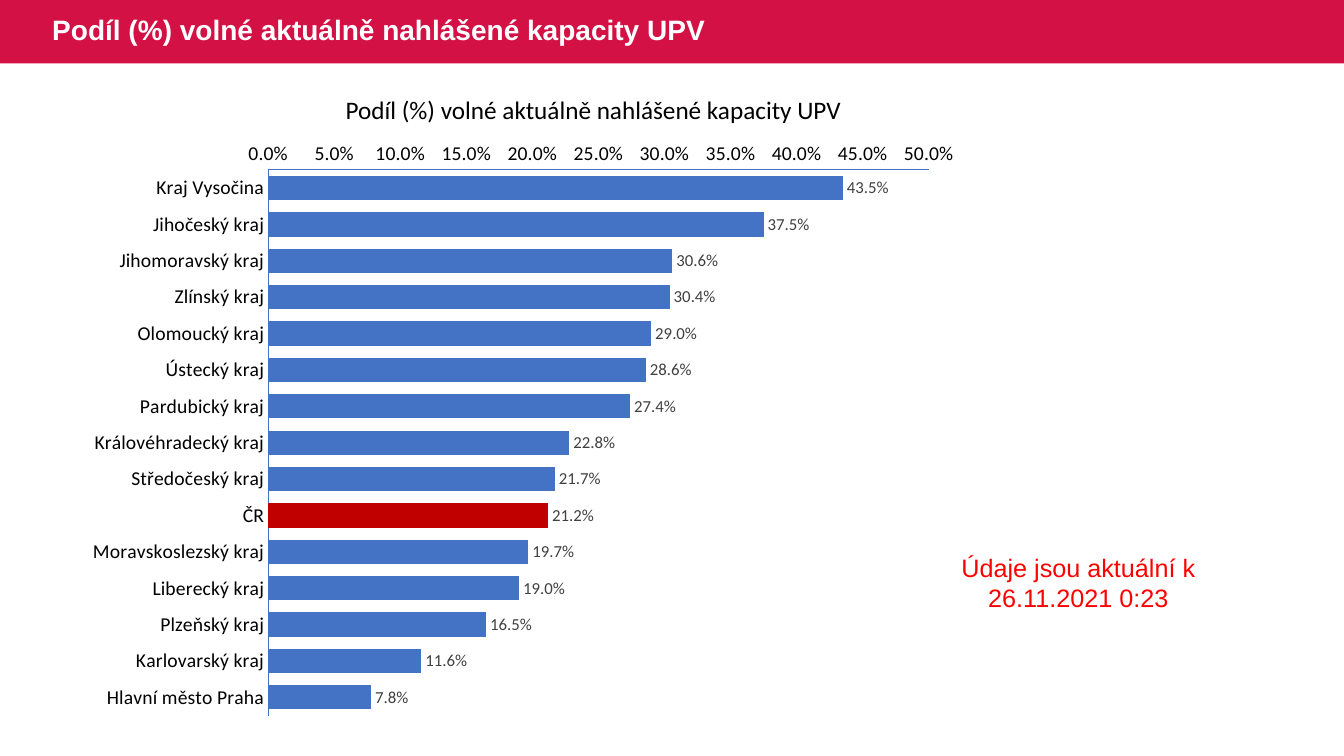
from lxml import etree
from pptx import Presentation
from pptx import util as u
from pptx.chart.data import CategoryChartData
from pptx.dml.color import RGBColor
from pptx.enum import chart as charts, shapes, text
from pptx.oxml import ns

TITLE = "Podíl (%) volné aktuálně nahlášené kapacity UPV"
NOTE = "Údaje jsou aktuální k 26.11.2021 0:23"
COUNTRY = "ČR"
CAPACITY = {
    "Kraj Vysočina": 0.435,
    "Jihočeský kraj": 0.375,
    "Jihomoravský kraj": 0.306,
    "Zlínský kraj": 0.304,
    "Olomoucký kraj": 0.29,
    "Ústecký kraj": 0.286,
    "Pardubický kraj": 0.274,
    "Královéhradecký kraj": 0.228,
    "Středočeský kraj": 0.217,
    COUNTRY: 0.212,
    "Moravskoslezský kraj": 0.197,
    "Liberecký kraj": 0.19,
    "Plzeňský kraj": 0.165,
    "Karlovarský kraj": 0.116,
    "Hlavní město Praha": 0.078,
}


def color(value):
    return RGBColor.from_string(value)


class CapacitySlide:
    """Draws the elements of the capacity slide in one shared style."""

    crimson, blue, red = "D31145", "4472C4", "C00000"
    percent = "0.0%"

    def __init__(self, presentation):
        self.slide = presentation.slides.add_slide(presentation.slide_layouts[6])

    def style_font(self, font, size, value, name="Calibri", bold=False):
        font.size, font.name, font.bold = u.Pt(size), name, bold
        font.color.rgb = color(value)

    def band(self, *box):
        shape = self.slide.shapes.add_shape(
            shapes.MSO_SHAPE.RECTANGLE, *map(u.Inches, box))
        shape.shadow.inherit = False
        shape.fill.solid()
        shape.fill.fore_color.rgb = color(self.crimson)
        shape.line.fill.background()

    def label(self, box, content, size, value, name="Arial", bold=False,
              align=text.PP_ALIGN.LEFT, anchor=text.MSO_ANCHOR.TOP, wrap=True,
              spacing=1.0):
        frame = self.slide.shapes.add_textbox(*map(u.Inches, box)).text_frame
        frame.text = content
        frame.word_wrap = wrap
        frame.vertical_anchor = anchor
        paragraph = frame.paragraphs[0]
        paragraph.alignment = align
        paragraph.line_spacing = spacing
        self.style_font(paragraph.runs[0].font, size, value, name, bold)

    def style_axis(self, axis):
        axis.has_major_gridlines = False
        axis.major_tick_mark = axis.minor_tick_mark = charts.XL_TICK_MARK.NONE
        axis.format.line.color.rgb = color(self.blue)
        axis.format.line.width = u.Pt(0.75)
        self.style_font(axis.tick_labels.font, 14, "000000")

    def place_plot(self, chart, **fractions):
        plot_area = chart.element.find(".//" + ns.qn("c:plotArea"))
        layout = plot_area.find(ns.qn("c:layout"))
        if layout is None:
            layout = etree.Element(ns.qn("c:layout"))
            plot_area.insert(0, layout)
        manual = etree.SubElement(layout, ns.qn("c:manualLayout"))
        settings = {"layoutTarget": "inner", "xMode": "edge", "yMode": "edge"}
        for tag, value in {**settings, **fractions}.items():
            etree.SubElement(manual, ns.qn("c:" + tag)).set("val", str(value))

    def bar_chart(self, box, values, highlight):
        data = CategoryChartData(number_format=self.percent)
        data.categories = list(values)
        data.add_series("Series 1", list(values.values()))
        chart = self.slide.shapes.add_chart(
            charts.XL_CHART_TYPE.BAR_CLUSTERED, *map(u.Inches, box), data).chart
        chart.has_legend = chart.has_title = False
        self.style_font(chart.font, 10, "000000")
        for axis in (chart.category_axis, chart.value_axis):
            self.style_axis(axis)
        chart.category_axis.reverse_order = True
        scale = chart.value_axis
        scale.minimum_scale, scale.maximum_scale, scale.major_unit = 0, 0.5, 0.05
        scale.tick_labels.number_format = self.percent
        scale.tick_labels.number_format_is_linked = False

        plot = chart.plots[0]
        plot.gap_width = 50
        plot.vary_by_categories = False
        series = plot.series[0]
        point = series.points[list(values).index(highlight)]
        for item, value in ((series, self.blue), (point, self.red)):
            item.format.fill.solid()
            item.format.fill.fore_color.rgb = color(value)
        labels = series.data_labels
        labels.show_value = True
        labels.number_format = self.percent
        labels.number_format_is_linked = False
        labels.position = charts.XL_LABEL_POSITION.OUTSIDE_END
        self.style_font(labels.font, 12, "404040")
        self.place_plot(chart, x=0.216, y=0.065, w=0.737, h=0.913)


def main():
    presentation = Presentation()
    presentation.slide_width = u.Inches(13.33)
    presentation.slide_height = u.Inches(7.5)
    page = CapacitySlide(presentation)
    page.band(0, 0, 13.33, 0.63)
    page.label((0.42, 0, 11.56, 0.63), TITLE, 20, "FFFFFF", bold=True,
               anchor=text.MSO_ANCHOR.MIDDLE, spacing=0.9)
    page.bar_chart((0.74, 1.3, 8.89, 5.93), CAPACITY, COUNTRY)
    page.label((3.33, 0.89, 5.17, 0.4), TITLE, 18, "000000", "Calibri", wrap=False)
    page.label((9.42, 5.43, 2.55, 0.71), NOTE, 18, "FF0000",
               align=text.PP_ALIGN.CENTER)
    presentation.save("out.pptx")


if __name__ == "__main__":
    main()
